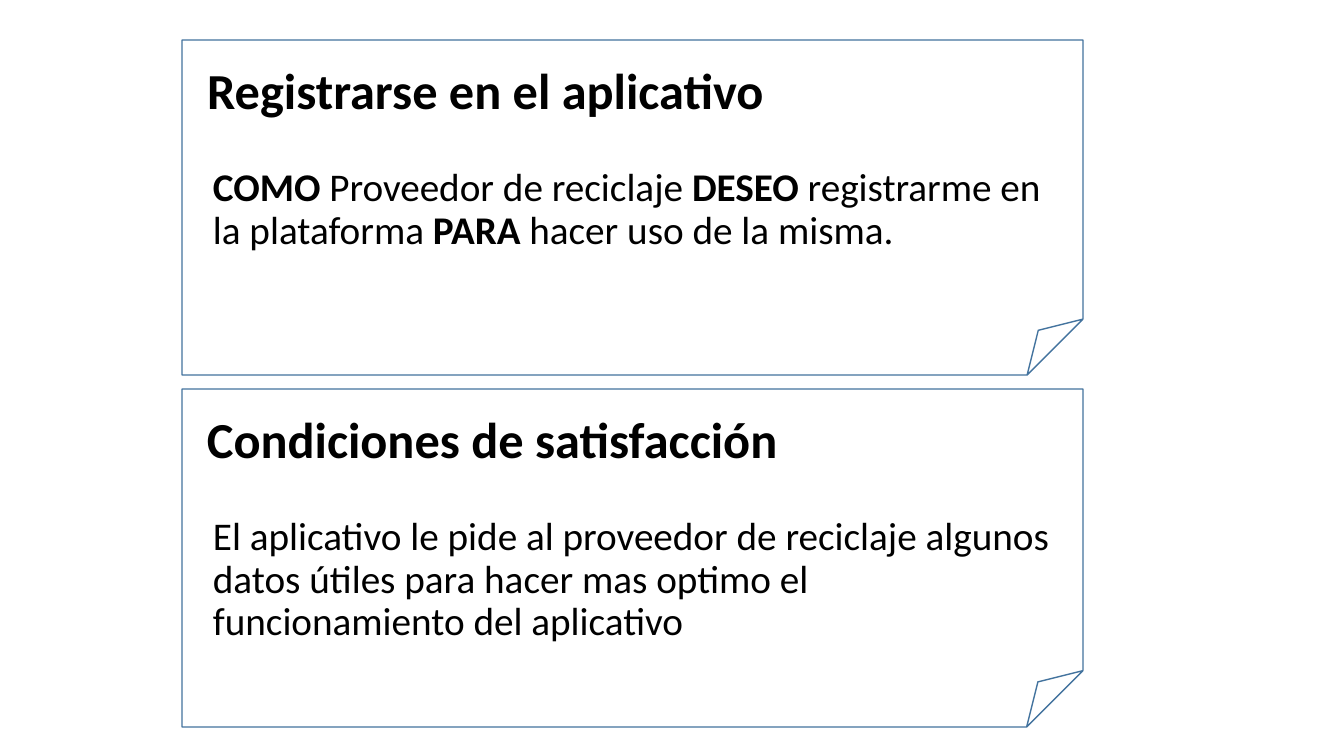
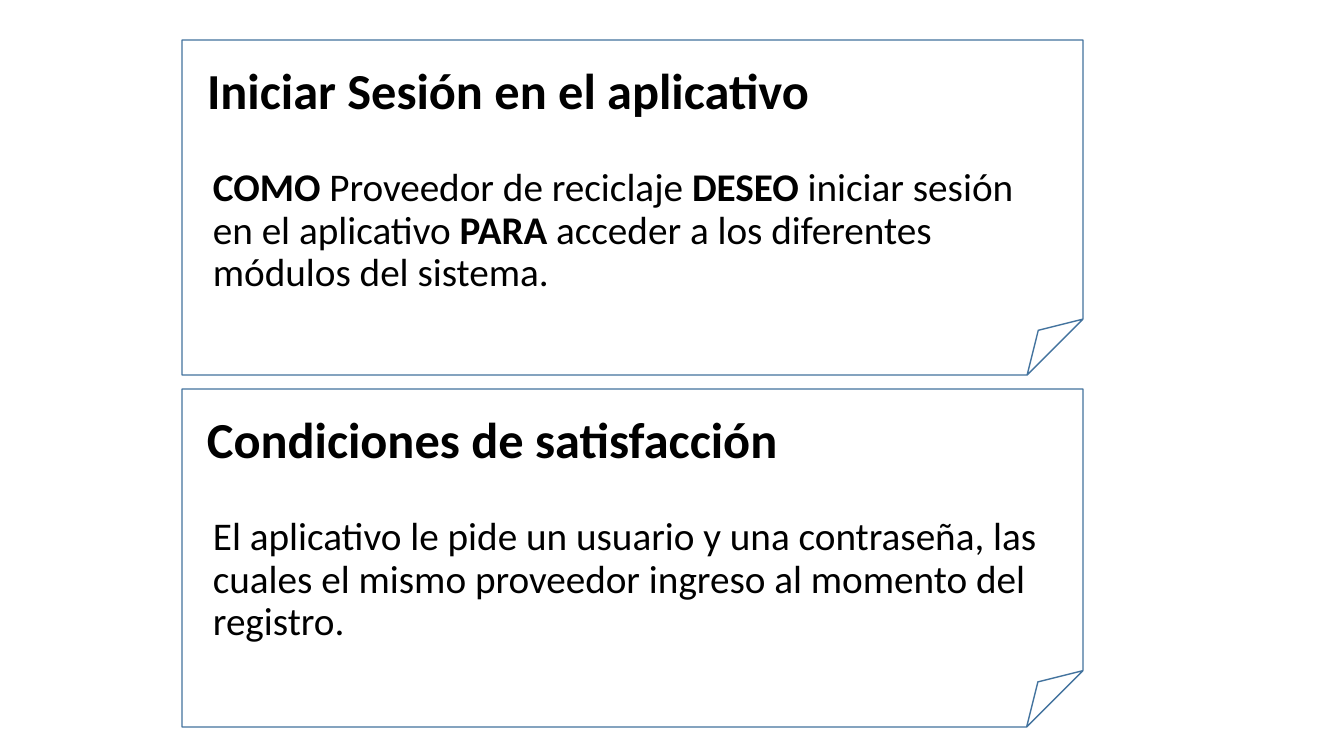
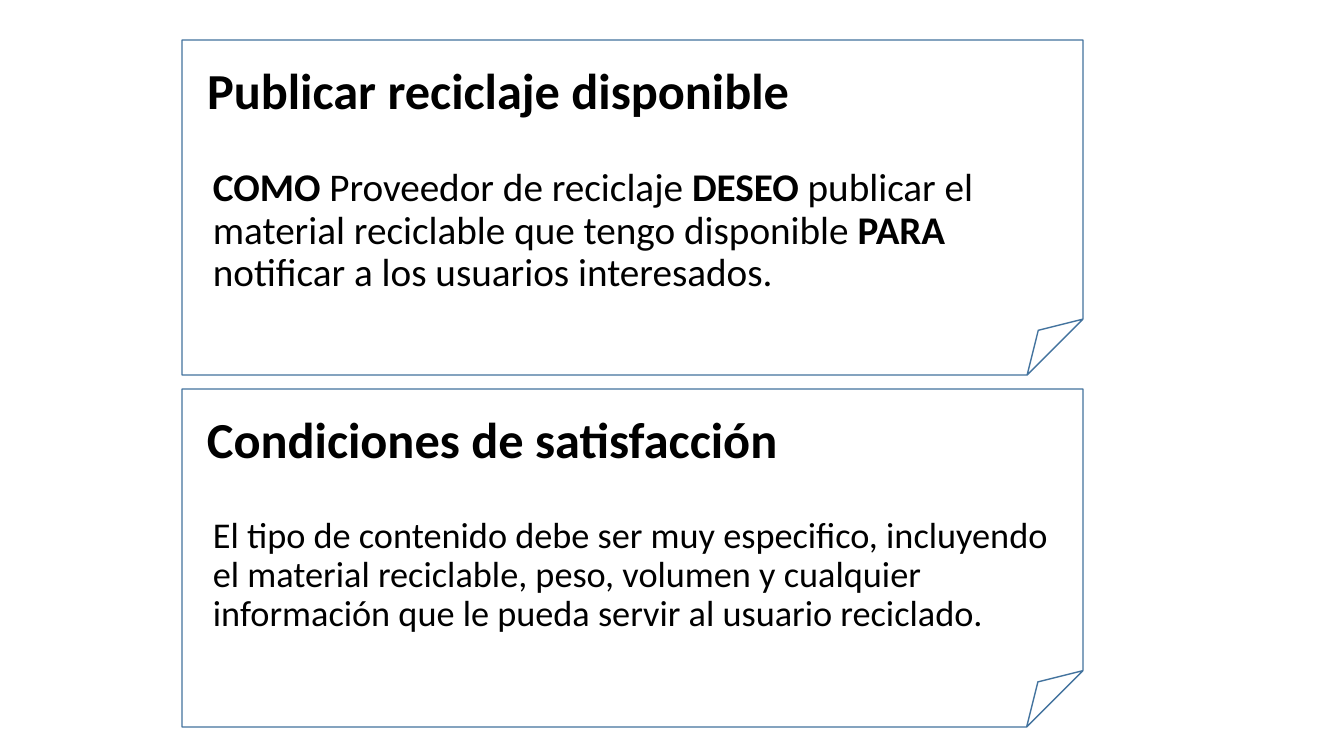
import dataclasses

import pptx
import pptx.dml.color
import pptx.enum.shapes
import pptx.enum.text
import pptx.util

EMU_PER_PX = 914400 / 100.8


@dataclasses.dataclass(frozen=True)
class Theme:
    font: str = "Calibri"
    text: str = "000000"
    outline: str = "43739E"
    outline_width: float = 1
    heading_size: float = 36
    body_size: float = 28
    small_body_size: float = 25.9
    line_spacing: float = 0.9
    body_space: float = 10


THEME = Theme()

SLIDE_SIZE = (1344, 756)
CARD_LEFT, CARD_WIDTH = 182, 901
STORY_TOP, STORY_HEIGHT = 40, 335
CONDITIONS_TOP, CONDITIONS_HEIGHT = 389, 338
HEADING_LEFT, HEADING_OFFSET, HEADING_WIDTH, HEADING_HEIGHT = 197, 27, 1147, 53
BODY_LEFT, BODY_OFFSET, BODY_WIDTH, BODY_HEIGHT = 203, 123, 860, 146

STORIES = [
    (
        "Registrarse en el aplicativo",
        "registrarme en la plataforma",
        "hacer uso de la misma.",
        "El aplicativo le pide al proveedor de reciclaje algunos datos útiles "
        "para hacer mas optimo el funcionamiento del aplicativo",
        THEME.body_size,
    ),
    (
        "Iniciar Sesión en el aplicativo",
        "iniciar sesión en el aplicativo",
        "acceder a los diferentes módulos del sistema.",
        "El aplicativo le pide un usuario y una contraseña, las cuales el mismo "
        "proveedor ingreso al momento del registro.",
        THEME.body_size,
    ),
    (
        "Publicar reciclaje disponible",
        "publicar el material reciclable que tengo disponible",
        "notificar a los usuarios interesados.",
        "El tipo de contenido debe ser muy especifico, incluyendo el material "
        "reciclable, peso, volumen y cualquier información que le pueda servir "
        "al usuario reciclado.",
        THEME.small_body_size,
    ),
]


def px(value):
    return pptx.util.Emu(round(value * EMU_PER_PX))


def color(value):
    return pptx.dml.color.RGBColor.from_string(value)


def format_text(sp, size, anchor):
    tf = sp.text_frame
    tf.word_wrap = True
    tf.auto_size = pptx.enum.text.MSO_AUTO_SIZE.NONE
    tf.vertical_anchor = anchor
    p = tf.paragraphs[0]
    p.alignment = pptx.enum.text.PP_ALIGN.LEFT
    p.line_spacing = THEME.line_spacing
    p.font.name = THEME.font
    p.font.size = pptx.util.Pt(size)
    p.font.color.rgb = color(THEME.text)
    return p


def format_heading(sp, card_top, text):
    sp.left, sp.top = px(HEADING_LEFT), px(card_top + HEADING_OFFSET)
    sp.width, sp.height = px(HEADING_WIDTH), px(HEADING_HEIGHT)
    sp.text_frame.text = text
    p = format_text(sp, THEME.heading_size, pptx.enum.text.MSO_ANCHOR.MIDDLE)
    p.font.bold = True


def add_heading(s, card_top, text):
    format_heading(s.shapes.add_textbox(0, 0, 0, 0), card_top, text)


def add_body(s, card_top, runs, size):
    sp = s.shapes.add_textbox(
        px(BODY_LEFT), px(card_top + BODY_OFFSET), px(BODY_WIDTH), px(BODY_HEIGHT)
    )
    p = format_text(sp, size, pptx.enum.text.MSO_ANCHOR.TOP)
    p.space_before = pptx.util.Pt(THEME.body_space)
    for text, bold in runs:
        r = p.add_run()
        r.text = text
        r.font.bold = bold


def add_card(s, top, height):
    sp = s.shapes.add_shape(
        pptx.enum.shapes.MSO_SHAPE.FOLDED_CORNER,
        px(CARD_LEFT), px(top), px(CARD_WIDTH), px(height),
    )
    sp.shadow.inherit = False
    sp.fill.background()
    sp.line.color.rgb = color(THEME.outline)
    sp.line.width = pptx.util.Pt(THEME.outline_width)


def story_runs(wish, goal):
    return [
        ("COMO ", True),
        ("Proveedor de reciclaje ", False),
        ("DESEO", True),
        (f" {wish} ", False),
        ("PARA", True),
        (f" {goal}", False),
    ]


def add_story_slide(prs, title, wish, goal, conditions, conditions_size):
    s = prs.slides.add_slide(prs.slide_layouts.get_by_name("Title Only"))
    format_heading(s.shapes.title, STORY_TOP, title)
    add_body(s, STORY_TOP, story_runs(wish, goal), THEME.body_size)
    add_card(s, STORY_TOP, STORY_HEIGHT)
    add_card(s, CONDITIONS_TOP, CONDITIONS_HEIGHT)
    add_heading(s, CONDITIONS_TOP, "Condiciones de satisfacción")
    add_body(s, CONDITIONS_TOP, [(conditions, False)], conditions_size)


def main():
    prs = pptx.Presentation()
    prs.slide_width, prs.slide_height = map(px, SLIDE_SIZE)
    for story in STORIES:
        add_story_slide(prs, *story)
    prs.save("out.pptx")


main()
